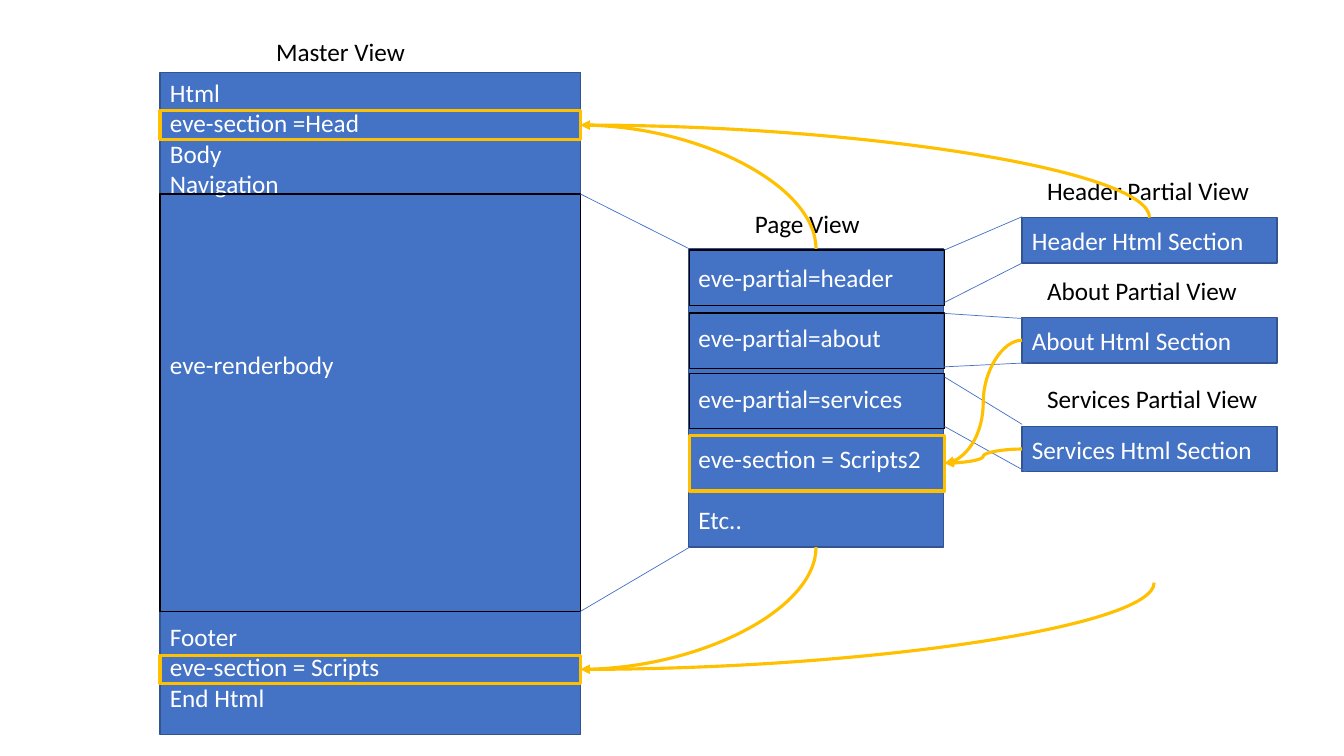
from dataclasses import dataclass
from lxml import etree
from pptx import Presentation
from pptx.dml.color import RGBColor
from pptx.enum.shapes import MSO_CONNECTOR, MSO_SHAPE
from pptx.enum.text import MSO_ANCHOR, PP_ALIGN
from pptx.oxml.ns import qn
from pptx.util import Pt

RECT = MSO_SHAPE.RECTANGLE
LINE, CURVE = MSO_CONNECTOR.STRAIGHT, MSO_CONNECTOR.CURVE
LEFT = PP_ALIGN.LEFT
HIGH, MID = MSO_ANCHOR.TOP, MSO_ANCHOR.MIDDLE
TOP, WEST, BASE, EAST = range(4)


@dataclass
class Theme:
    font: str = "Calibri"
    size: float = 18
    row: float = 21.58  # height of one text line
    blue: str = "4472C4"
    navy: str = "325491"
    gold: str = "FFC000"
    black: str = "000000"
    white: str = "FFFFFF"
    thin: float = 0.5
    edge: float = 1
    bold: float = 2.25


look = Theme()
deck = Presentation()
deck.slide_width, deck.slide_height = Pt(960), Pt(540)
slide = deck.slides.add_slide(deck.slide_layouts[6])
shapes = slide.shapes


def write(text, x, y, w, h, *, fill=None, line=None, width=look.edge,
          color=look.white, anchor=MID, gaps=None):
    """Add a box; gaps maps a line number to the empty rows above it."""
    spot = [Pt(v) for v in (x, y, w, h)]
    if line:
        box = shapes.add_shape(RECT, *spot)
        box.shadow.inherit = False
        box.line.color.rgb = RGBColor.from_string(line)
        box.line.width = Pt(width)
        if fill:
            box.fill.solid()
            box.fill.fore_color.rgb = RGBColor.from_string(fill)
        else:
            box.fill.background()
    else:
        box = shapes.add_textbox(*spot)
    if not text:
        return box
    frame = box.text_frame
    frame.word_wrap = bool(line)
    frame.vertical_anchor = anchor
    for i, part in enumerate(text.split("\n")):
        para = frame.paragraphs[0] if i == 0 else frame.add_paragraph()
        para.alignment = LEFT
        para.space_before = Pt(look.row * (gaps or {}).get(i, 0))
        run = para.add_run()
        run.text = part
        run.font.name, run.font.size = look.font, Pt(look.size)
        run.font.color.rgb = RGBColor.from_string(color)
    return box


def link(kind, x1, y1, x2, y2, color, width):
    wire = shapes.add_connector(kind, Pt(x1), Pt(y1), Pt(x2), Pt(y2))
    wire.line.color.rgb = RGBColor.from_string(color)
    wire.line.width = Pt(width)
    etree.SubElement(wire._element.spPr, qn("a:effectLst"))
    return wire


# Master view and page view
solid = dict(fill=look.blue, line=look.navy)
left, wide, right = 114.3, 300.4, 414.7
write("Html\neve-section =Head\nBody\nNavigation\neve-renderbody\n"
      "Footer\neve-section = Scripts\nEnd Html",
      left, 51.8, wide, 473, anchor=HIGH, gaps={4: 5, 5: 8}, **solid)
page = write("eve-partial=header\neve-partial=about\neve-partial=services\n"
             "eve-section = Scripts2\nEtc..", 491.8, 177.8, 182.2, 213.1,
             gaps=dict.fromkeys(range(1, 5), 1), **solid)
write("Master View", 190.1, 22.3, 107.3, 29, color=look.black)
write("Page View", 532.1, 145.4, 90.7, 29, color=look.black)

# Body frame and its zoom lines
write("", left, 138.6, wide, 298.1, line=look.black)
for y1, y2 in ((138.6, 177.8), (436.7, 390.9)):
    link(LINE, right, y1, 492.5, y2, look.blue, look.thin)

# Partial views
parts = []
for name, y, w in (("Header", 155.5, 160.6), ("About", 226.8, 152),
                   ("Services", 304.6, 168)):
    parts.append(write(f"{name} Html Section", 730, y, 182.2, 32.4, **solid))
    write(f"{name} Partial View", 740.8, y - 34.2, w, 29, color=look.black)
head_part, about, serve = parts

# Frames round the page rows
for y in (178.6, 223.7, 266.6):
    write("", 492.5, y, 182.2, 39.7, line=look.black)
gold = dict(line=look.gold, width=look.bold)
inner = write("", 492.5, 311.1, 182.2, 39.6, **gold)

# Zoom lines from page rows to partial views
for x1, y1, x2, y2 in ((674.7, 178.6, 730.1, 154.8), (674.7, 216, 730.1, 187.9),
                       (674.7, 223.9, 730.1, 227.5), (673.2, 262.1, 733, 259.2),
                       (674.7, 269.3, 730.1, 303.1), (674.7, 304.6, 733, 337)):
    link(LINE, x1, y1, x2, y2, look.blue, look.thin)

# Section frames in the master view
head = write("", left, 79.2, wide, 20.3, **gold)
foot = write("", left, 468, wide, 20.3, **gold)

# Curved arrows, each with its head on the section frame
for goal, start, side, preset in (
        (head, page, TOP, "curvedConnector2"),
        (foot, None, None, "curvedConnector2"),
        (foot, page, BASE, "curvedConnector2"),
        (head, head_part, TOP, "curvedConnector2"),
        (inner, about, WEST, "curvedConnector3"),
        (inner, serve, WEST, "curvedConnector3")):
    wire = link(CURVE, right, 478.1, 824.4, 416.2, look.gold, look.bold)
    wire.begin_connect(goal, EAST)
    if start:
        wire.end_connect(start, side)
    wire._element.spPr.find(qn("a:prstGeom")).set("prst", preset)
    tip = etree.SubElement(wire.line._get_or_add_ln(), qn("a:headEnd"))
    tip.set("type", "triangle")

deck.save("out.pptx")
